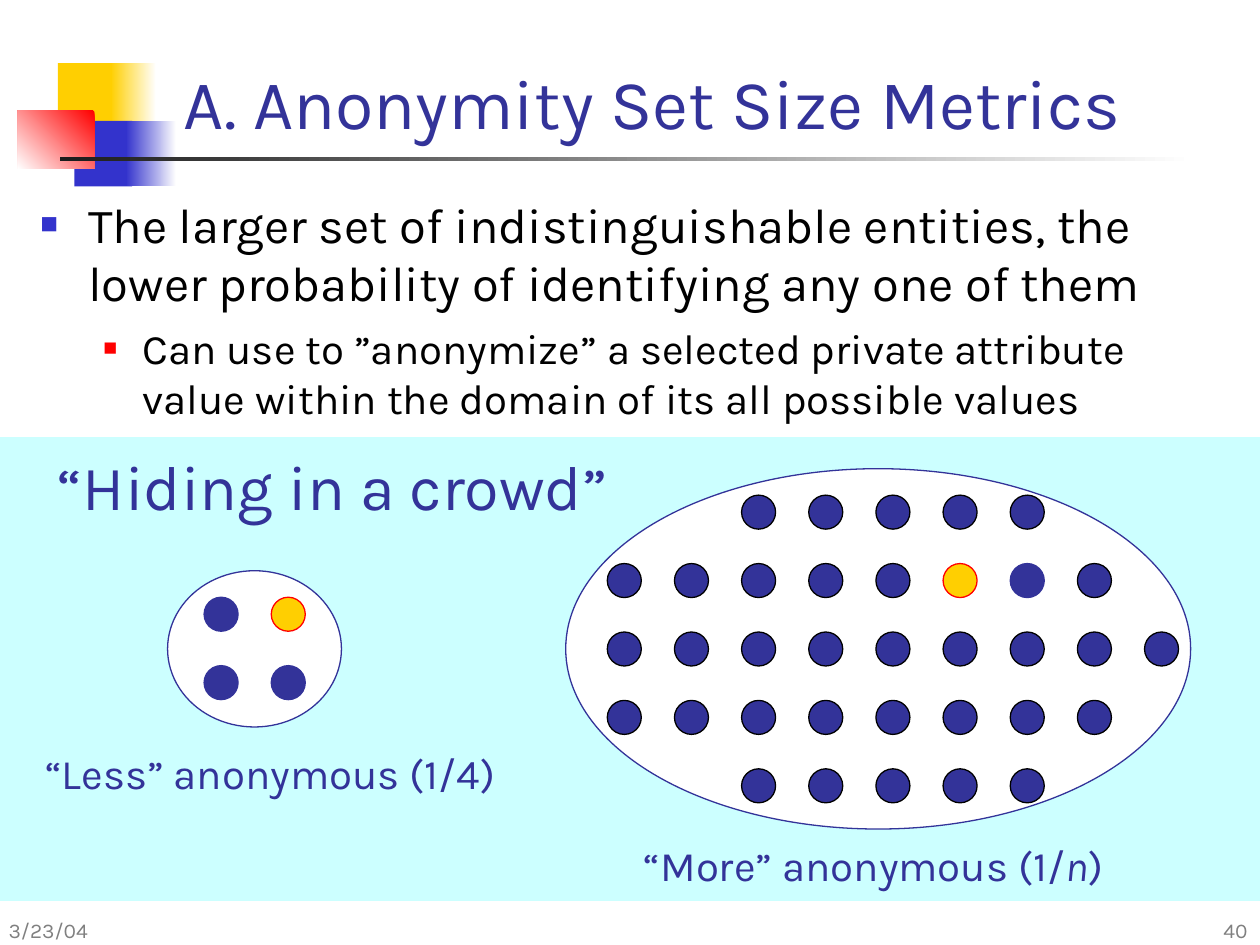
from lxml.etree import SubElement
from pptx import Presentation
from pptx.dml.color import RGBColor
from pptx.enum.shapes import MSO_SHAPE
from pptx.enum.text import MSO_ANCHOR, MSO_AUTO_SIZE, PP_ALIGN
from pptx.oxml.ns import qn
from pptx.util import Inches, Pt

WHITE = RGBColor(0xFF, 0xFF, 0xFF)
BLACK = RGBColor(0x00, 0x00, 0x00)
CHARCOAL = RGBColor(0x1C, 0x1C, 0x1C)
GRAY = RGBColor(0x80, 0x80, 0x80)
NAVY = RGBColor(0x33, 0x33, 0x99)
BLUE = RGBColor(0x33, 0x33, 0xCC)
RED = RGBColor(0xFF, 0x00, 0x00)
GOLD = RGBColor(0xFF, 0xCF, 0x01)
AQUA = RGBColor(0xCC, 0xFF, 0xFF)


class SlideBuilder:
    font_name = "Karla"
    line_width = Pt(0.75)
    dot_size = 0.27

    def __init__(self, deck):
        self.slide = deck.slides.add_slide(deck.slide_layouts[1])
        self.shapes = self.slide.shapes

    def place(self, shape, left, top, width, height):
        shape.left, shape.top = Inches(left), Inches(top)
        shape.width, shape.height = Inches(width), Inches(height)

    def span(self, para, text, size, color, italic=None):
        span = para.add_run()
        span.text = text
        span.font.name = self.font_name
        span.font.size = Pt(size)
        span.font.color.rgb = color
        span.font.italic = italic

    def title(self, text, *bounds):
        box = self.shapes.title
        self.place(box, *bounds)
        frame = box.text_frame
        frame.auto_size = MSO_AUTO_SIZE.NONE
        frame.vertical_anchor = MSO_ANCHOR.BOTTOM
        para = frame.paragraphs[0]
        para.alignment = PP_ALIGN.LEFT
        self.span(para, text, 40, NAVY)

    def bullet(self, para, color, percent, margin, hanging):
        properties = para._p.get_or_add_pPr()
        properties.set("marL", str(Inches(margin)))
        properties.set("indent", str(-Inches(hanging)))
        tint = SubElement(properties, qn("a:buClr"))
        SubElement(tint, qn("a:srgbClr")).set("val", str(color))
        SubElement(properties, qn("a:buSzPct")).set("val", str(percent * 1000))
        SubElement(properties, qn("a:buFont")).set("typeface", "Arial")
        SubElement(properties, qn("a:buChar")).set("char", "■")

    def body(self, items, *bounds):
        box = self.slide.placeholders[1]
        self.place(box, *bounds)
        frame = box.text_frame
        frame.auto_size = MSO_AUTO_SIZE.NONE
        for level, (text, size, before, bullet) in enumerate(items):
            para = frame.add_paragraph() if level else frame.paragraphs[0]
            para.level = level
            self.bullet(para, *bullet)
            para.space_before = Pt(before)
            self.span(para, text, size, BLACK)

    def label(self, spans, size, color, *bounds, parent=None,
              anchor=MSO_ANCHOR.TOP, align=PP_ALIGN.LEFT):
        shapes = parent.shapes if parent else self.shapes
        box = shapes.add_textbox(*map(Inches, bounds))
        frame = box.text_frame
        frame.word_wrap = True
        frame.vertical_anchor = anchor
        para = frame.paragraphs[0]
        para.alignment = align
        for text, italic in spans:
            self.span(para, text, size, color, italic)

    def shape(self, kind, fill, *bounds, line=None, parent=None):
        shapes = parent.shapes if parent else self.shapes
        shape = shapes.add_shape(kind, *map(Inches, bounds))
        shape.shadow.inherit = False
        shape.fill.solid()
        shape.fill.fore_color.rgb = fill
        if line is None:
            shape.line.fill.background()
        else:
            shape.line.color.rgb = line
            shape.line.width = self.line_width
        return shape

    def rectangle(self, fill, *bounds):
        return self.shape(MSO_SHAPE.RECTANGLE, fill, *bounds)

    def gradient(self, start, end, angle, *bounds):
        fill = self.rectangle(start, *bounds).fill
        fill.gradient()
        fill.gradient_angle = angle
        for stop, color, position in zip(fill.gradient_stops, (start, end), (0, 1)):
            stop.color.rgb = color
            stop.position = position

    def ellipse(self, fill, line, *bounds, parent):
        self.shape(MSO_SHAPE.OVAL, fill, *bounds, line=line, parent=parent)

    def crowd(self, outline, origin, row_columns, dot_line, special):
        group = self.shapes.add_group_shape()
        self.ellipse(WHITE, NAVY, *outline, parent=group)
        left, top = origin
        for row, columns in enumerate(row_columns):
            for column in columns:
                fill, line = special.get((row, column), (NAVY, dot_line))
                self.ellipse(fill, line, left + column * 0.533, top + row * 0.543,
                             self.dot_size, self.dot_size, parent=group)
        return group


def main():
    deck = Presentation()
    deck.slide_width, deck.slide_height = Inches(10), Inches(7.5)
    page = SlideBuilder(deck)

    page.rectangle(GOLD, 0.46, 0.5, 0.48, 0.52)
    page.gradient(WHITE, GOLD, 180, 0.88, 0.5, 0.36, 0.52)
    page.rectangle(BLUE, 0.59, 0.96, 0.46, 0.52)
    page.gradient(WHITE, BLUE, 180, 1, 0.96, 0.4, 0.52)
    page.gradient(RED, WHITE, 225, 0.14, 0.88, 0.61, 0.46)
    page.gradient(WHITE, CHARCOAL, 180, 0.48, 1.25, 9, 0.03)
    page.rectangle(AQUA, 0, 3.47, 10, 3.68)

    page.title("A. Anonymity Set Size Metrics", 1.36, 0.34, 8.52, 0.85)
    page.body([
        ("The larger set of indistinguishable entities, the lower probability "
         "of identifying any one of them", 28, 0, (BLUE, 60, 0.38, 0.38)),
        ("Can use to ”anonymize” a selected private attribute value within "
         "the domain of its all possible values", 24, 6, (RED, 55, 0.81, 0.31)),
    ], 0.22, 1.49, 9.67, 2.03)
    page.label([("“Hiding in a crowd”", None)], 36, NAVY, 0.36, 3.5, 4.93, 0.7)

    large_crowd = page.crowd(
        (4.49, 3.72, 4.96, 2.86), (4.82, 3.93),
        [range(2, 7), range(8), range(9), range(8), range(2, 7)],
        BLACK, {(1, 5): (GOLD, RED), (1, 6): (NAVY, NAVY)})
    page.label([("“More” anonymous (1/", None), ("n", True), (")", False)],
               24, NAVY, 5.01, 6.61, 4.65, 0.5, parent=large_crowd)

    page.label([("“Less” anonymous (1/4)", None)], 24, NAVY, 0.26, 5.88, 4.3, 0.5)
    page.crowd((1.33, 4.53, 1.38, 1.24), (1.62, 4.74), [range(2)] * 2,
               NAVY, {(0, 1): (GOLD, RED)})

    page.label([("40", None)], 12, GRAY, 8.97, 7.29, 1.03, 0.24,
               anchor=MSO_ANCHOR.BOTTOM, align=PP_ALIGN.RIGHT)
    page.label([("3/23/04", None)], 12, GRAY, -0.03, 7.2, 2.08, 0.33,
               anchor=MSO_ANCHOR.BOTTOM)
    deck.save("out.pptx")


if __name__ == "__main__":
    main()
